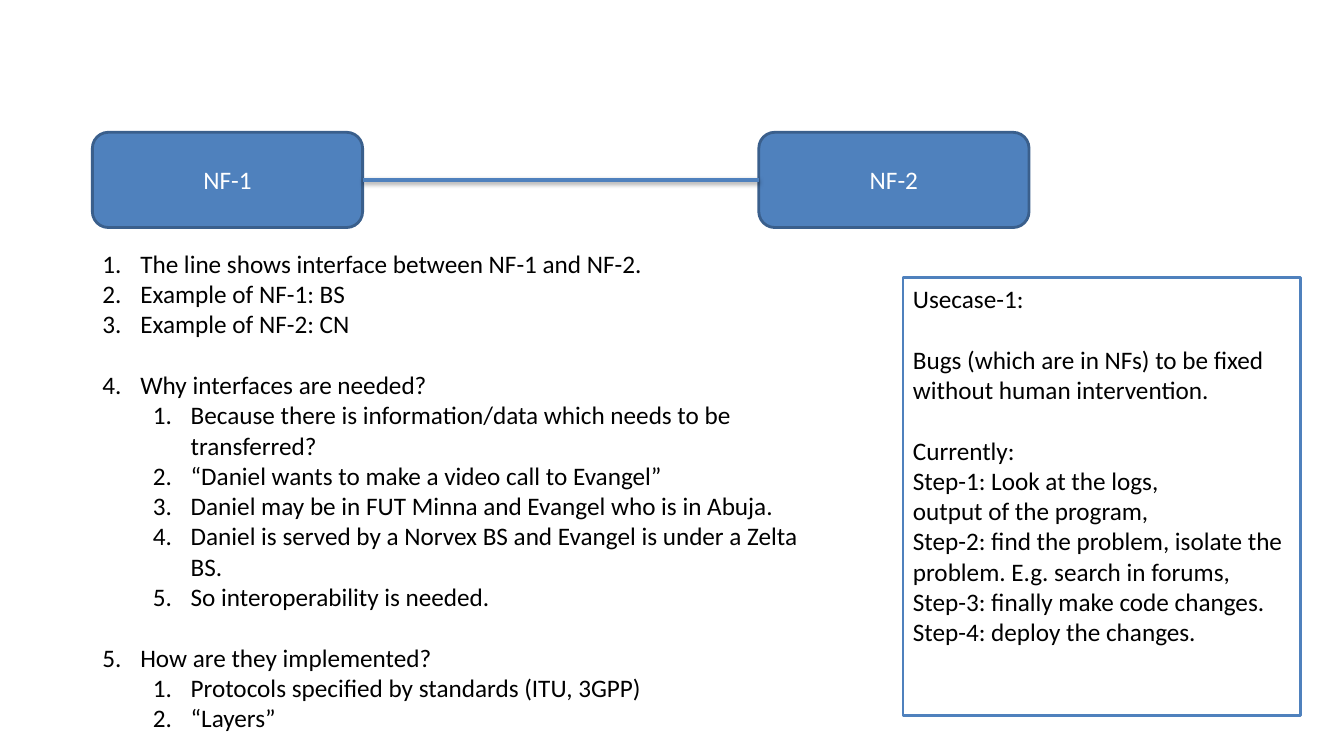
from lxml import etree
from pptx import Presentation
from pptx import util as u
from pptx.dml.color import RGBColor
from pptx.enum import shapes, text
from pptx.oxml import parse_xml
from pptx.oxml.ns import nsdecls, qn

COLORS = {"blue": "4F81BD", "edge": "3A5F8C", "white": "FFFFFF", "black": "000000"}
LINE_GAP = u.Pt(21.97)  # one 18 pt line of Calibri
FONT = {"name": "Calibri", "size": u.Pt(18)}


def add_paragraph(frame, words, color, **layout):
    """Fill the first paragraph if it is still empty, otherwise add one."""
    paragraph = frame.paragraphs[0]
    if paragraph.runs:
        paragraph = frame.add_paragraph()
    run = paragraph.add_run()
    run.text = words
    for name, value in FONT.items():
        setattr(run.font, name, value)
    run.font.color.rgb = RGBColor.from_string(COLORS[color])
    for name, value in layout.items():
        setattr(paragraph, name, value)
    return paragraph


def add_box(kind, left, top, width, height, fill, edge):
    box = slide.shapes.add_shape(kind, u.Pt(left), u.Pt(top), u.Pt(width), u.Pt(height))
    box.shadow.inherit = False
    box.fill.solid()
    box.fill.fore_color.rgb = RGBColor.from_string(COLORS[fill])
    box.line.color.rgb = RGBColor.from_string(COLORS[edge])
    box.line.width = u.Pt(2)
    box.text_frame.word_wrap = True
    return box


prs = Presentation()
prs.slide_width, prs.slide_height = u.Pt(960), u.Pt(540)
slide = prs.slides.add_slide(prs.slide_layouts[1])
empty_title = slide.shapes.title.element
empty_title.getparent().remove(empty_title)

# Two network functions and the interface between them
functions = []
for label, left in (("NF-1", 66), ("NF-2", 542)):
    function = add_box(shapes.MSO_SHAPE.ROUNDED_RECTANGLE, left, 94.5, 193, 68,
                       "blue", "edge")
    function.text_frame.vertical_anchor = text.MSO_ANCHOR.MIDDLE
    add_paragraph(function.text_frame, label, "white", alignment=text.PP_ALIGN.CENTER)
    functions.append(function)

interface = slide.shapes.add_connector(shapes.MSO_CONNECTOR.STRAIGHT, 0, 0, 0, 0)
interface.begin_connect(functions[0], 3)
interface.end_connect(functions[1], 1)
interface.line.color.rgb = RGBColor.from_string(COLORS["blue"])
interface.line.width = u.Pt(3)
interface.element.spPr.append(parse_xml(
    f'<a:effectLst {nsdecls("a")}>'
    f'<a:outerShdw blurRad="{u.Pt(3.1)}" dist="{u.Pt(1.8)}" dir="5400000" rotWithShape="0">'
    f'<a:srgbClr val="{COLORS["black"]}"><a:alpha val="35000"/></a:srgbClr>'
    "</a:outerShdw></a:effectLst>"))

# Numbered notes: level, gap above in lines, wording
notes = [
    (0, 0, "The line shows interface between NF-1 and NF-2."),
    (0, 0, "Example of NF-1: BS"),
    (0, 0, "Example of NF-2: CN"),
    (0, 1, "Why interfaces are needed?"),
    (1, 0, "Because there is information/data which needs to be transferred?"),
    (1, 0, "“Daniel wants to make a video call to Evangel”"),
    (1, 0, "Daniel may be in FUT Minna and Evangel who is in Abuja."),
    (1, 0, "Daniel is served by a Norvex BS and Evangel is under a Zelta BS."),
    (1, 0, "So interoperability is needed."),
    (0, 1, "How are they implemented?"),
    (1, 0, "Protocols specified by standards (ITU, 3GPP)"),
    (1, 0, "“Layers”"),
]
outline = slide.placeholders[1]
outline_place = {"left": 66, "top": 173.5, "width": 516, "height": 356.5}
for name, value in outline_place.items():
    setattr(outline, name, u.Pt(value))
outline.text_frame.auto_size = text.MSO_AUTO_SIZE.NONE
outline.text_frame.word_wrap = True
for level, gap, words in notes:
    note = add_paragraph(outline.text_frame, words, "black",
                         level=level, space_before=gap * LINE_GAP)
    properties = note._p.get_or_add_pPr()
    properties.set("marL", str(u.Pt(27 + 36 * level)))
    properties.set("indent", str(u.Pt(-27)))
    etree.SubElement(properties, qn("a:buFont"), typeface="+mj-lt")
    etree.SubElement(properties, qn("a:buAutoNum"), type="arabicPeriod")

# Use case: gap above in lines, wording
usecase_lines = [
    (0, "Usecase-1:"),
    (1, "Bugs (which are in NFs) to be fixed without human intervention."),
    (1, "Currently:"),
    (0, "Step-1: Look at the logs,"),
    (0, "output of the program,"),
    (0, "Step-2: find the problem, isolate the problem. E.g. search in forums,"),
    (0, "Step-3: finally make code changes."),
    (0, "Step-4: deploy the changes."),
]
usecase = add_box(shapes.MSO_SHAPE.RECTANGLE, 645, 198.5, 284, 312.5, "white", "blue")
usecase.text_frame.vertical_anchor = text.MSO_ANCHOR.TOP
for gap, words in usecase_lines:
    add_paragraph(usecase.text_frame, words, "black",
                  alignment=text.PP_ALIGN.LEFT, space_before=gap * LINE_GAP)

prs.save("out.pptx")
